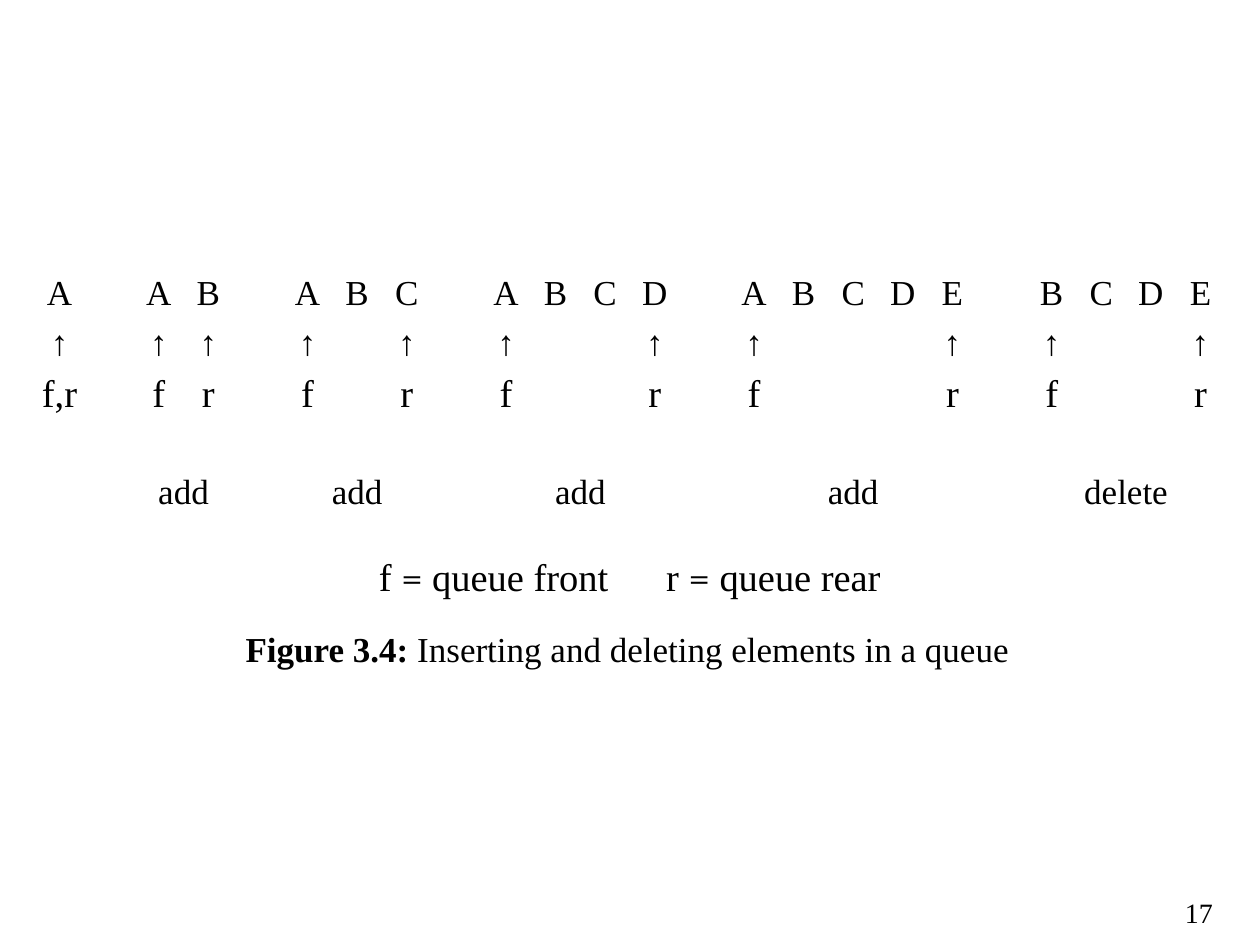
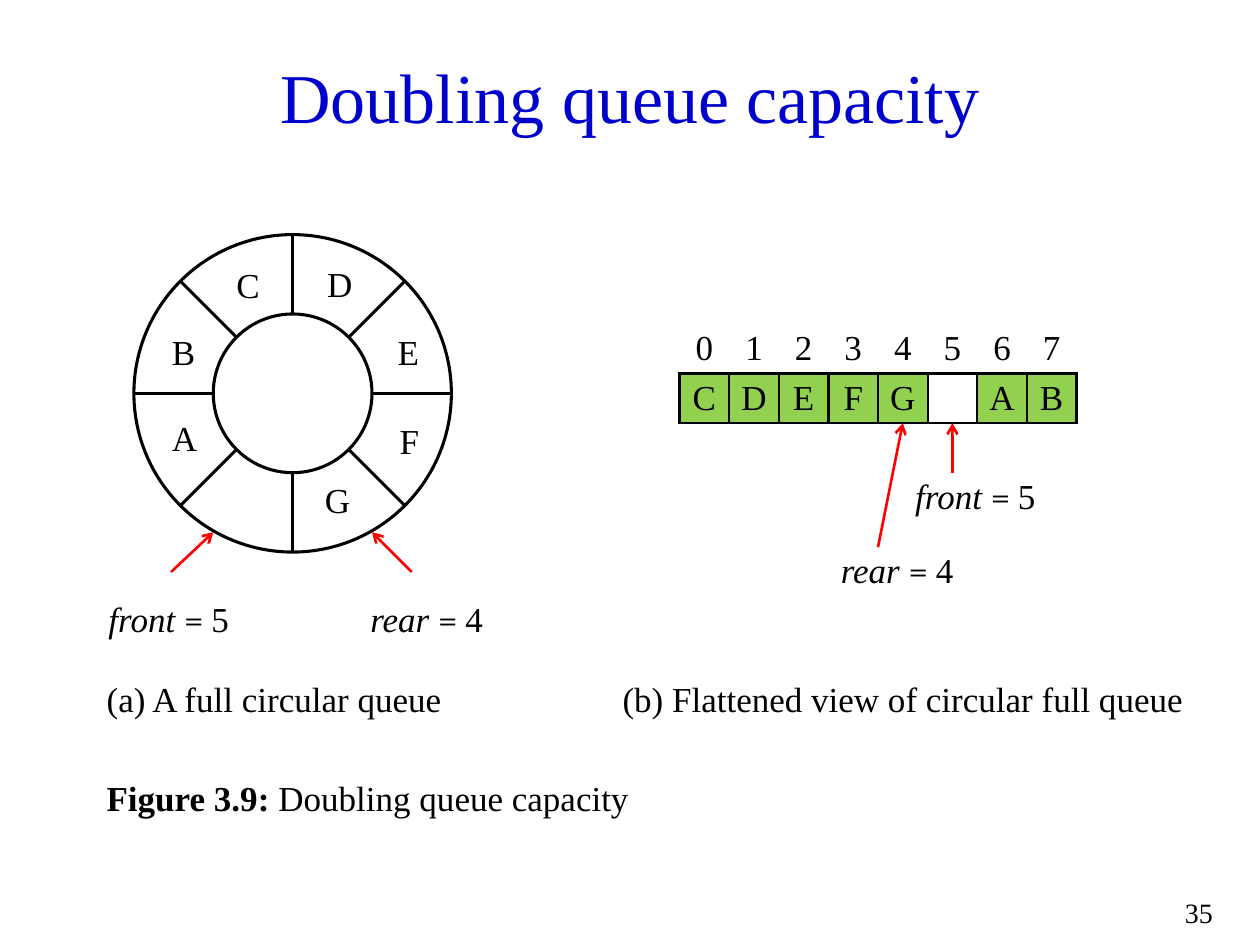
import math

import lxml.etree
import pptx
import pptx.dml.color
import pptx.enum.shapes
import pptx.enum.text
import pptx.oxml.ns
import pptx.util

COLORS = {"ink": "000000", "title": "0000CC", "paper": "FFFFFF",
          "pointer": "FF0000", "filled": "92D050"}
RGB = {name: pptx.dml.color.RGBColor.from_string(value) for name, value in COLORS.items()}
SERIF, MATH = "Times New Roman", "Cambria"
ALIGN = pptx.enum.text.PP_ALIGN
ANCHOR = pptx.enum.text.MSO_ANCHOR
SHAPE = pptx.enum.shapes.MSO_SHAPE
PT = pptx.util.Pt
NO_TABLE_STYLE = "{2D5ABB26-0587-4C30-8999-92F81FD0307C}"

# Grid: cells of 1 cm, with the origin inset from the slide's corner
CELL = pptx.util.Cm(1)
GRID_LEFT, GRID_TOP = pptx.util.Cm(0.7), pptx.util.Cm(0.53)

deck = pptx.Presentation()
deck.slide_width, deck.slide_height = pptx.util.Inches(10), pptx.util.Inches(7.5)
blank = deck.slide_layouts[6]


def add_text(slide, col, row, cols, rows, runs, size=20, align=ALIGN.LEFT,
             anchor=ANCHOR.TOP, wrap=True, color="ink"):
    """Text box on the grid; each run is (text, style), style made of b, i, m (math font)."""
    box = slide.shapes.add_textbox(GRID_LEFT + int(col * CELL), GRID_TOP + int(row * CELL),
                                   int(cols * CELL), int(rows * CELL))
    frame = box.text_frame
    frame.word_wrap, frame.vertical_anchor = wrap, anchor
    paragraph = frame.paragraphs[0]
    paragraph.alignment = align
    for text, style in runs:
        run = paragraph.add_run()
        run.text = text
        run.font.size = PT(size)
        run.font.name = MATH if "m" in style else SERIF
        run.font.bold, run.font.italic = "b" in style, "i" in style
        run.font.color.rgb = RGB[color]
    return frame


def add_line(slide, start, end, color="ink", width=1.75, arrow=False):
    line = slide.shapes.add_connector(
        pptx.enum.shapes.MSO_CONNECTOR.STRAIGHT,
        GRID_LEFT + int(start[0] * CELL), GRID_TOP + int(start[1] * CELL),
        GRID_LEFT + int(end[0] * CELL), GRID_TOP + int(end[1] * CELL))
    line.line.color.rgb, line.line.width = RGB[color], PT(width)
    if arrow:
        lxml.etree.SubElement(line.line._get_or_add_ln(), pptx.oxml.ns.qn("a:tailEnd"),
                              type="arrow")
    lxml.etree.SubElement(line._element.spPr, pptx.oxml.ns.qn("a:effectLst"))


# Slides and their numbers
adding, doubling = [deck.slides.add_slide(blank) for _ in range(2)]
for slide, number in ((adding, "17"), (doubling, "35")):
    add_text(slide, 22.8, 17.4, 1.2, 0.8, [(number, "")], size=16, align=ALIGN.RIGHT)

# Queue states: letters, front and rear pointers, and the operation below
states = [("A", ""), ("AB", "add"), ("ABC", "add"), ("ABCD", "add"),
          ("ABCDE", "add"), ("BCDE", "delete")]
history, operations = {}, []
first = 0
for letters, operation in states:
    last = first + len(letters) - 1
    for offset, letter in enumerate(letters):
        history[0, first + offset] = letter
    for col in (first, last):
        history[1, col] = "↑"
    history[2, first], history[2, last] = "f", "r"
    if first == last:
        history[2, first] = "f,r"
    if operation:
        history[4, first] = operation
        operations.append((first, last))
    first = last + 2

# Flattened queue: indexes above, slots below
slots = "CDEFG AB"
flattened = {}
for index, letter in enumerate(slots):
    flattened[0, index] = str(index)
    if letter != " ":
        flattened[1, index] = letter

# Both tables
for slide, words, col, row, cols, rows, anchor, merges in (
        (adding, history, 0, 5, 24, 5, ANCHOR.TOP, operations),
        (doubling, flattened, 13, 6, 8, 2, ANCHOR.MIDDLE, [])):
    table = slide.shapes.add_table(rows, cols, GRID_LEFT + col * CELL, GRID_TOP + row * CELL,
                                   cols * CELL, rows * CELL).table
    table.first_row = table.horz_banding = False
    table._tbl.tblPr.find(pptx.oxml.ns.qn("a:tableStyleId")).text = NO_TABLE_STYLE
    for r in range(rows):
        for c in range(cols):
            cell = table.cell(r, c)
            cell.margin_left = cell.margin_right = cell.margin_top = cell.margin_bottom = 0
            cell.vertical_anchor = anchor
            paragraph = cell.text_frame.paragraphs[0]
            paragraph.alignment = ALIGN.CENTER
            if (r, c) in words:
                run = paragraph.add_run()
                run.text = words[r, c]
                run.font.size = PT(22 if slide is adding and r == 2 else 20)
                run.font.name, run.font.bold = SERIF, False
                run.font.color.rgb = RGB["ink"]
            else:
                paragraph.font.size = PT(18)
            # Frame the slots; the index row shares its lower edge with them
            if slide is doubling:
                for edge in (("a:lnL", "a:lnR", "a:lnT", "a:lnB") if r == 1 else ("a:lnB",)):
                    border = lxml.etree.SubElement(cell._tc.get_or_add_tcPr(),
                                                   pptx.oxml.ns.qn(edge), w=str(PT(1.5)))
                    solid = lxml.etree.SubElement(border, pptx.oxml.ns.qn("a:solidFill"))
                    lxml.etree.SubElement(solid, pptx.oxml.ns.qn("a:srgbClr"),
                                          val=COLORS["ink"])
            if slide is doubling and r == 1:
                cell.fill.solid()
                cell.fill.fore_color.rgb = RGB["filled" if (r, c) in words else "paper"]
            else:
                cell.fill.background()
    for start, end in merges:
        table.cell(4, start).merge(table.cell(4, end))

# Slide 1: legend and caption
legend = add_text(adding, 6, 10.5, 12, 1.5,
                  [("f ", ""), ("=", "m"), (" queue front\tr ", ""), ("=", "m"),
                   (" queue rear", "")], size=22)
legend.margin_left = pptx.util.Inches(0.37)
tabs = lxml.etree.SubElement(legend.paragraphs[0]._p.get_or_add_pPr(),
                             pptx.oxml.ns.qn("a:tabLst"))
lxml.etree.SubElement(tabs, pptx.oxml.ns.qn("a:tab"), pos=str(pptx.util.Inches(2.28)), algn="l")
add_text(adding, 4, 12, 16, 1.5,
         [("Figure 3.4: ", "b"), ("Inserting and deleting elements in a queue", "")])

# Slide 2: title and captions
add_text(doubling, 0.4, 0.2, 23.2, 2.4, [("Doubling queue capacity", "")], size=40,
         align=ALIGN.CENTER, anchor=ANCHOR.MIDDLE, color="title")
add_text(doubling, 1.2, 13, 7.6, 1.2, [("(a) A full circular queue", "")])
add_text(doubling, 11.6, 13, 12, 1.2, [("(b) Flattened view of circular full queue", "")])
add_text(doubling, 1.2, 15, 11.2, 1.2,
         [("Figure 3.9: ", "b"), ("Doubling queue capacity", "")])

# Circular queue: rim, four spokes through the centre, then the hub over them
hub_col, hub_row, rim_radius = 5.2, 7.4, 3.2
for radius in (rim_radius, rim_radius / 2):
    circle = doubling.shapes.add_shape(
        SHAPE.OVAL, GRID_LEFT + int((hub_col - radius) * CELL),
        GRID_TOP + int((hub_row - radius) * CELL), int(2 * radius * CELL), int(2 * radius * CELL))
    circle.shadow.inherit = False
    circle.line.color.rgb, circle.line.width = RGB["ink"], PT(1.75)
    if radius == rim_radius:
        circle.fill.background()
        for spoke in range(4):
            dx = rim_radius * math.cos(spoke * math.pi / 4)
            dy = rim_radius * math.sin(spoke * math.pi / 4)
            add_line(doubling, (hub_col - dx, hub_row - dy), (hub_col + dx, hub_row + dy))
    else:
        circle.fill.solid()
        circle.fill.fore_color.rgb = RGB["paper"]

for letter, col, row, align in (
        ("A", 2.42, 7.75, ALIGN.CENTER), ("B", 2.4, 6, ALIGN.CENTER),
        ("C", 3.7, 4.65, ALIGN.CENTER), ("D", 5.55, 4.63, ALIGN.CENTER),
        ("E", 6.8, 6, ALIGN.RIGHT), ("F", 6.8, 7.8, ALIGN.RIGHT), ("G", 5.6, 9, ALIGN.LEFT)):
    add_text(doubling, col, row, 1.2, 1.2, [(letter, "")], align=align, wrap=False)

# Front and rear pointers of both views
for name, value, col, row, cols, start, end in (
        ("front ", "5", 1.2, 11.4, 3, (2.75, 11), (3.6, 10.2)),
        ("rear ", "4", 6.4, 11.4, 3, (7.6, 11), (6.8, 10.2)),
        ("front ", "5", 17.5, 9, 3.5, (18.5, 9), (18.5, 8)),
        ("rear ", "4", 16, 10.5, 3, (17, 10.5), (17.5, 8))):
    circular = row > 11
    add_text(doubling, col, row, cols, 1.2 if circular else 1,
             [(name, "i"), ("= ", "m"), (value, "")],
             align=ALIGN.CENTER if circular else ALIGN.LEFT,
             anchor=ANCHOR.TOP if circular else ANCHOR.BOTTOM, wrap=not circular)
    add_line(doubling, start, end, "pointer", 1.5, arrow=True)

deck.save("out.pptx")
